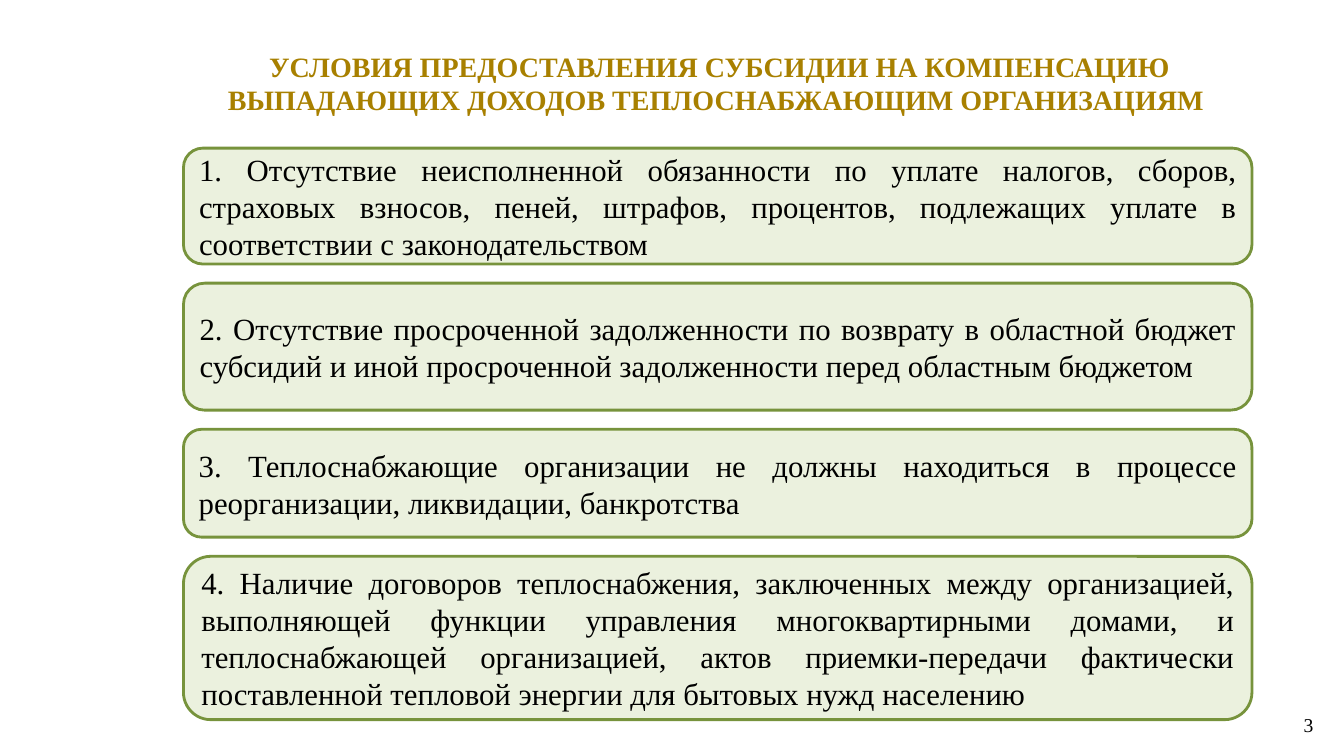
from dataclasses import dataclass

from pptx import Presentation
from pptx.dml.color import RGBColor
from pptx.enum.shapes import MSO_SHAPE
from pptx.enum.text import MSO_ANCHOR, PP_ALIGN
from pptx.shapes.autoshape import Shape
from pptx.slide import Slide
from pptx.util import Inches, Pt

ROUND = MSO_SHAPE.ROUNDED_RECTANGLE
TOP, MIDDLE = MSO_ANCHOR.TOP, MSO_ANCHOR.MIDDLE
CENTER, RIGHT, JUSTIFY = PP_ALIGN.CENTER, PP_ALIGN.RIGHT, PP_ALIGN.JUSTIFY

WIDTH, HEIGHT = Inches(13.33), Inches(7.5)
FONT = "Times New Roman"
BLACK, GOLD, PALE, GREEN = "000000", "A88000", "EBF1DE", "77933C"
LEFT, SPAN, START, GAP = 13.65, 79.5, 19.6, 2.53


@dataclass
class Term:
    text: str
    height: float


TERMS = [
    Term("1. Отсутствие неисполненной обязанности по уплате налогов, сборов, "
         "страховых взносов, пеней, штрафов, процентов, подлежащих уплате "
         "в соответствии с законодательством", 15.33),
    Term("2. Отсутствие просроченной задолженности по возврату в областной "
         "бюджет субсидий и иной просроченной задолженности перед областным "
         "бюджетом", 16.8),
    Term("3. Теплоснабжающие организации не должны находиться в процессе "
         "реорганизации, ликвидации, банкротства", 14.27),
    Term("4. Наличие договоров теплоснабжения, заключенных между "
         "организацией, выполняющей функции управления многоквартирными "
         "домами, и теплоснабжающей организацией, актов приемки-передачи "
         "фактически поставленной тепловой энергии для бытовых нужд "
         "населению", 21.6),
]


def color(code: str) -> RGBColor:
    return RGBColor.from_string(code)


def place(x: float, y: float, w: float, h: float) -> tuple[int, ...]:
    shares = ((x, WIDTH), (y, HEIGHT), (w, WIDTH), (h, HEIGHT))
    return tuple(round(share * side / 100) for share, side in shares)


def write(shape: Shape, text: str, size: int, align: PP_ALIGN,
          anchor: MSO_ANCHOR, code: str = BLACK, bold: bool = False) -> None:
    frame = shape.text_frame
    frame.text = text
    frame.word_wrap = True
    frame.vertical_anchor = anchor
    line = frame.paragraphs[0]
    line.alignment = align
    font = line.runs[0].font
    font.name, font.size, font.bold = FONT, Pt(size), bold
    font.color.rgb = color(code)


def draw_term(slide: Slide, term: Term, top: float) -> None:
    box = slide.shapes.add_shape(ROUND, *place(LEFT, top, SPAN, term.height))
    box.shadow.inherit = False
    box.fill.solid()
    box.fill.fore_color.rgb = color(PALE)
    box.line.color.rgb = color(GREEN)
    box.line.width = Pt(2)
    write(box, term.text, 22, JUSTIFY, MIDDLE)


def main() -> None:
    deck = Presentation()
    deck.slide_width, deck.slide_height = WIDTH, HEIGHT
    slide = deck.slides.add_slide(deck.slide_layouts[6])

    title = slide.shapes.add_textbox(*place(13.35, 5.87, 80.35, 11.33))
    write(title, "УСЛОВИЯ ПРЕДОСТАВЛЕНИЯ СУБСИДИИ НА КОМПЕНСАЦИЮ ВЫПАДАЮЩИХ "
          "ДОХОДОВ ТЕПЛОСНАБЖАЮЩИМ ОРГАНИЗАЦИЯМ ", 20, CENTER, TOP, GOLD, True)

    top = START
    for term in TERMS:
        draw_term(slide, term, top)
        top += term.height + GAP

    number = slide.shapes.add_textbox(*place(96.1, 94.13, 2.48, 3.47))
    write(number, "3", 14, RIGHT, MIDDLE)
    frame = number.text_frame
    frame.margin_left = frame.margin_right = Inches(0.12)
    frame.margin_top = frame.margin_bottom = Inches(0.06)

    deck.save("out.pptx")


if __name__ == "__main__":
    main()
